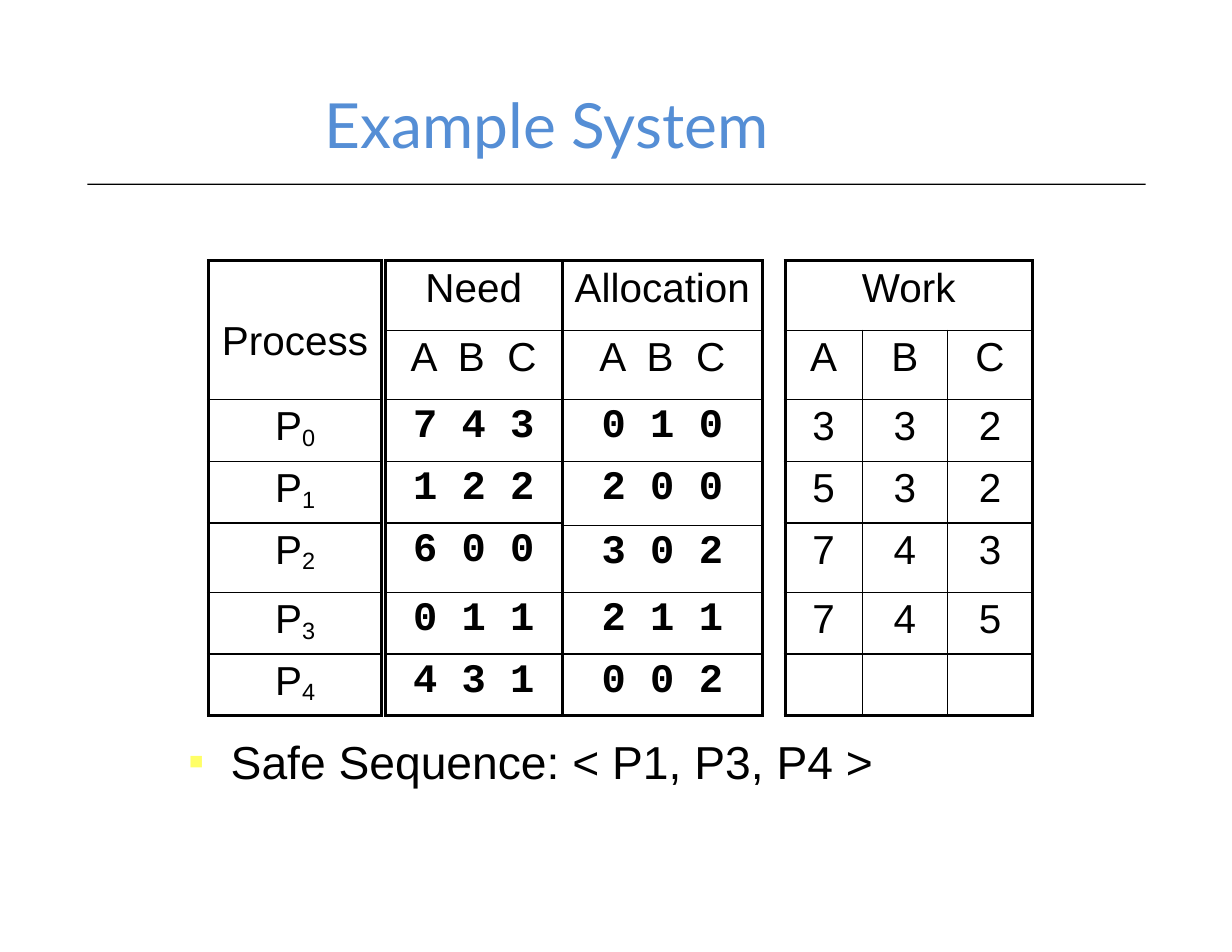
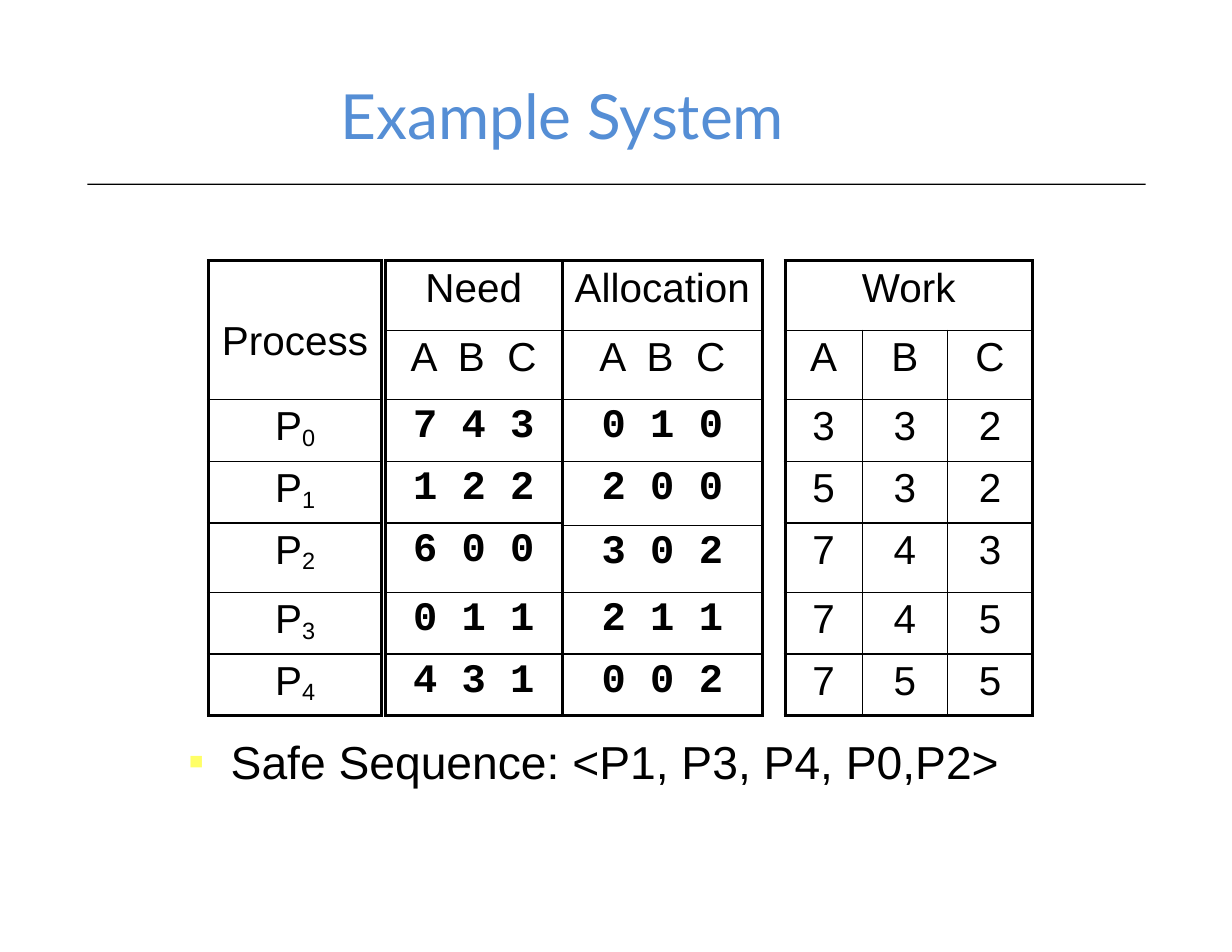
from dataclasses import dataclass

from lxml import etree
from pptx import Presentation
from pptx import util as u
from pptx.dml.color import RGBColor
from pptx.enum import shapes, text
from pptx.oxml import ns


@dataclass(frozen=True)
class Theme:
    ink: str = "000000"
    title: str = "558ED5"
    bullet: str = "FFFF66"
    title_font: str = "Lato"
    body_font: str = "Arial"
    digit_font: str = "Courier New"
    title_size: float = 40
    body_size: float = 29.7
    table_size: float = 26
    outer_line: float = 2.25
    inner_line: float = 1


THEME = Theme()

# Content
PROCESSES = ["Process", "P0", "P1", "P2", "P3", "P4"]
NEED = ["Need", "A  B  C", "7 4 3", "1 2 2", "6 0 0", "0 1 1", "4 3 1"]
ALLOCATION = ["Allocation", "A  B  C", "0 1 0", "2 0 0", "3 0 2", "2 1 1", "0 0 2"]
WORK = ["Work", "ABC", "332", "532", "743", "745"]

SLIDES = [
    {"title": "Example System", "title_at": (1.17, 0.75), "last_work": ["", "", ""],
     "sequence": "Safe Sequence: < P1, P3, P4 >"},
    {"title": "Example System", "title_at": (1.31, 0.67), "last_work": "755",
     "sequence": "Safe Sequence: <P1, P3, P4, P0,P2>"},
]

# Layout in inches
TABLE_TOP = 2.33
HEADER, ROW, TALL_ROW = 0.62, 0.55, 0.62
BODY_ROWS = [ROW, ROW, TALL_ROW, ROW, ROW]
ROWS = [HEADER, HEADER] + BODY_ROWS
PROCESS_ROWS = [2 * HEADER] + BODY_ROWS
ALLOCATION_ROWS = [HEADER, HEADER, ROW, 0.57, 0.6, ROW, ROW]


def apply(target, values):
    for name, value in values.items():
        setattr(target, name, value)


def style_font(font, name, size, color, bold=False):
    apply(font, {"name": name, "size": u.Pt(size), "bold": bold})
    font.color.rgb = RGBColor.from_string(color)


def place(shape, left, top, width, height):
    apply(shape, {"left": u.Inches(left), "top": u.Inches(top),
                  "width": u.Inches(width), "height": u.Inches(height)})


def add_color(parent, tag, color):
    holder = etree.SubElement(parent, ns.qn(tag))
    etree.SubElement(holder, ns.qn("a:srgbClr"), val=color)


def set_borders(cell, widths):
    """Draw the left, right, top and bottom lines; they precede the cell fill."""
    properties = cell._tc.get_or_add_tcPr()
    for index, (side, width) in enumerate(zip("LRTB", widths)):
        line = etree.Element(ns.qn(f"a:ln{side}"), w=str(u.Pt(width)))
        add_color(line, "a:solidFill", THEME.ink)
        properties.insert(index, line)


def fill_cell(cell, value):
    """Write a value; digits after a P become subscripts, spaced digits bold."""
    paragraph = cell.text_frame.paragraphs[0]
    paragraph.alignment = text.PP_ALIGN.CENTER
    is_process = len(value) == 2 and value[0] == "P"
    is_digits = " " in value and value[0].isdigit()
    font_name = THEME.digit_font if is_digits else THEME.body_font
    for part in value if is_process else [value]:
        if not part:
            continue
        run = paragraph.add_run()
        run.text = part
        style_font(run.font, font_name, THEME.table_size, THEME.ink, is_digits)
        if is_process and part.isdigit():
            run.font._element.set("baseline", "-14000")


def add_grid(slide, left, columns, heights, values, merge_header=False):
    frame = slide.shapes.add_table(
        len(heights), len(columns), u.Inches(left), u.Inches(TABLE_TOP),
        u.Inches(sum(columns)), u.Inches(sum(heights)))
    table = frame.table
    apply(table, {"first_row": False, "horz_banding": False})
    for column, width in zip(table.columns, columns):
        column.width = u.Inches(width)
    for row, height in zip(table.rows, heights):
        row.height = u.Inches(height)
    if merge_header:
        table.cell(0, 0).merge(table.cell(0, len(columns) - 1))

    for r, row_values in enumerate(values):
        for c in range(len(columns)):
            cell = table.cell(r, c)
            apply(cell, {"margin_left": u.Inches(0.08), "margin_right": u.Inches(0.08),
                         "margin_top": u.Inches(0.04), "margin_bottom": u.Inches(0.04)})
            cell.fill.background()
            span = cell.span_width if cell.is_merge_origin else 1
            edges = (c == 0, c + span == len(columns), r == 0, r == len(heights) - 1)
            set_borders(cell, [THEME.outer_line if edge else THEME.inner_line
                               for edge in edges])
            if not cell.is_spanned:
                fill_cell(cell, row_values[c])
    return table


def add_title(slide, content):
    title = slide.shapes.title
    place(title, *content["title_at"], 7.42, 0.71)
    frame = title.text_frame
    frame.text = content["title"]
    apply(frame, {"vertical_anchor": text.MSO_ANCHOR.MIDDLE,
                  "auto_size": text.MSO_AUTO_SIZE.NONE})
    paragraph = frame.paragraphs[0]
    paragraph.alignment = text.PP_ALIGN.CENTER
    style_font(paragraph.runs[0].font, THEME.title_font, THEME.title_size, THEME.title)


def add_rule(slide):
    rule = slide.shapes.add_shape(
        shapes.MSO_SHAPE.RECTANGLE, u.Inches(0.78), u.Inches(1.64),
        u.Inches(9.45), u.Inches(0.01))
    rule.shadow.inherit = False
    rule.fill.solid()
    rule.fill.fore_color.rgb = RGBColor.from_string(THEME.ink)
    rule.line.fill.background()


def add_sequence(slide, content):
    body = slide.placeholders[1]
    place(body, 1.58, 6.59, 7.91, 0.62)
    frame = body.text_frame
    frame.text = content["sequence"]
    frame.auto_size = text.MSO_AUTO_SIZE.NONE
    paragraph = frame.paragraphs[0]
    paragraph.line_spacing = 0.8
    style_font(paragraph.runs[0].font, THEME.body_font, THEME.body_size, THEME.ink)
    properties = paragraph._p.get_or_add_pPr()
    properties.set("marL", str(u.Inches(0.38)))
    properties.set("indent", str(u.Inches(-0.38)))
    add_color(properties, "a:buClr", THEME.bullet)
    etree.SubElement(properties, ns.qn("a:buChar"), char="▪")


def build_slide(presentation, content):
    slide = presentation.slides.add_slide(presentation.slide_layouts[1])
    add_title(slide, content)
    add_rule(slide)

    # System state
    process_table = add_grid(slide, 1.86, [1.55], PROCESS_ROWS,
                             [[name] for name in PROCESSES])
    process_table.cell(0, 0).margin_top = u.Inches(0.52)
    add_grid(slide, 7.01, [0.69, 0.76, 0.76], ROWS,
             [[WORK[0]], *WORK[1:], content["last_work"]], merge_header=True)
    add_grid(slide, 5.02, [1.79], ALLOCATION_ROWS, [[value] for value in ALLOCATION])
    add_grid(slide, 3.44, [1.58], ROWS, [[value] for value in NEED])

    add_sequence(slide, content)


def main():
    presentation = Presentation()
    apply(presentation, {"slide_width": u.Inches(11), "slide_height": u.Inches(8.5)})
    for content in SLIDES:
        build_slide(presentation, content)
    presentation.save("out.pptx")


if __name__ == "__main__":
    main()
